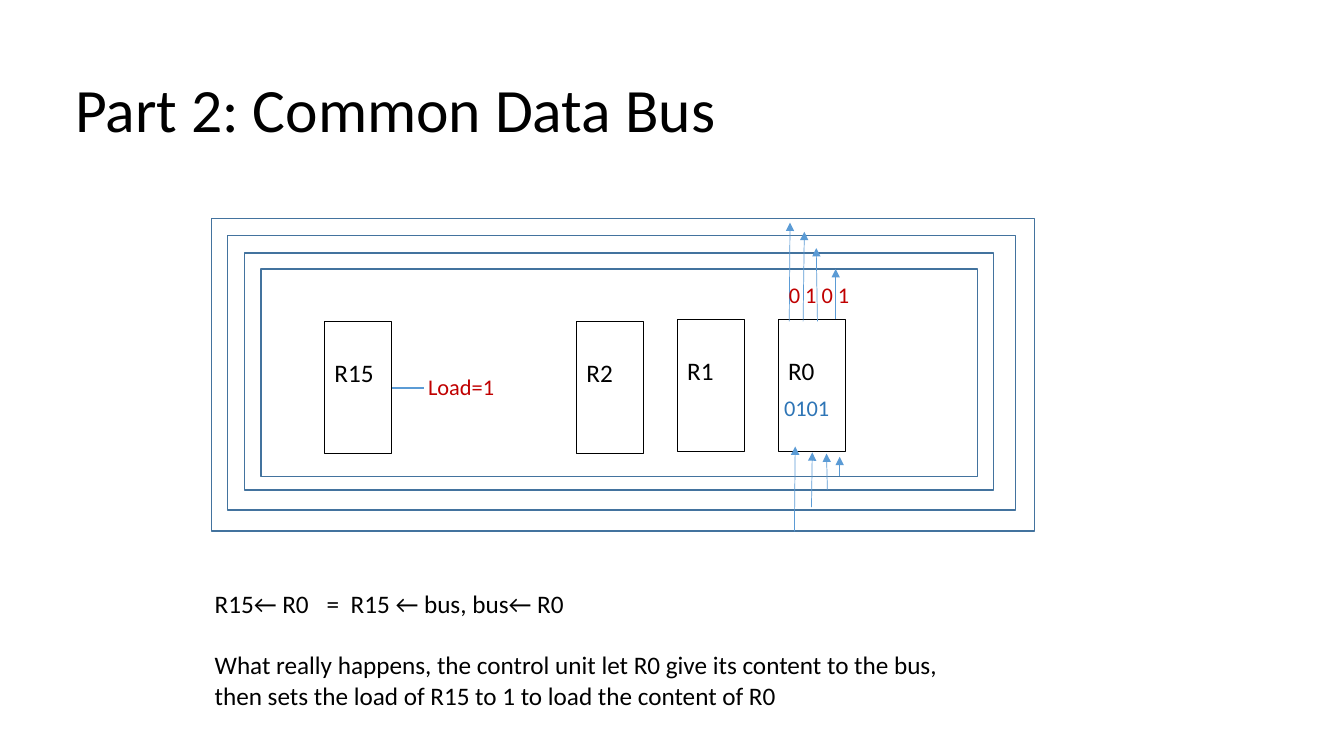
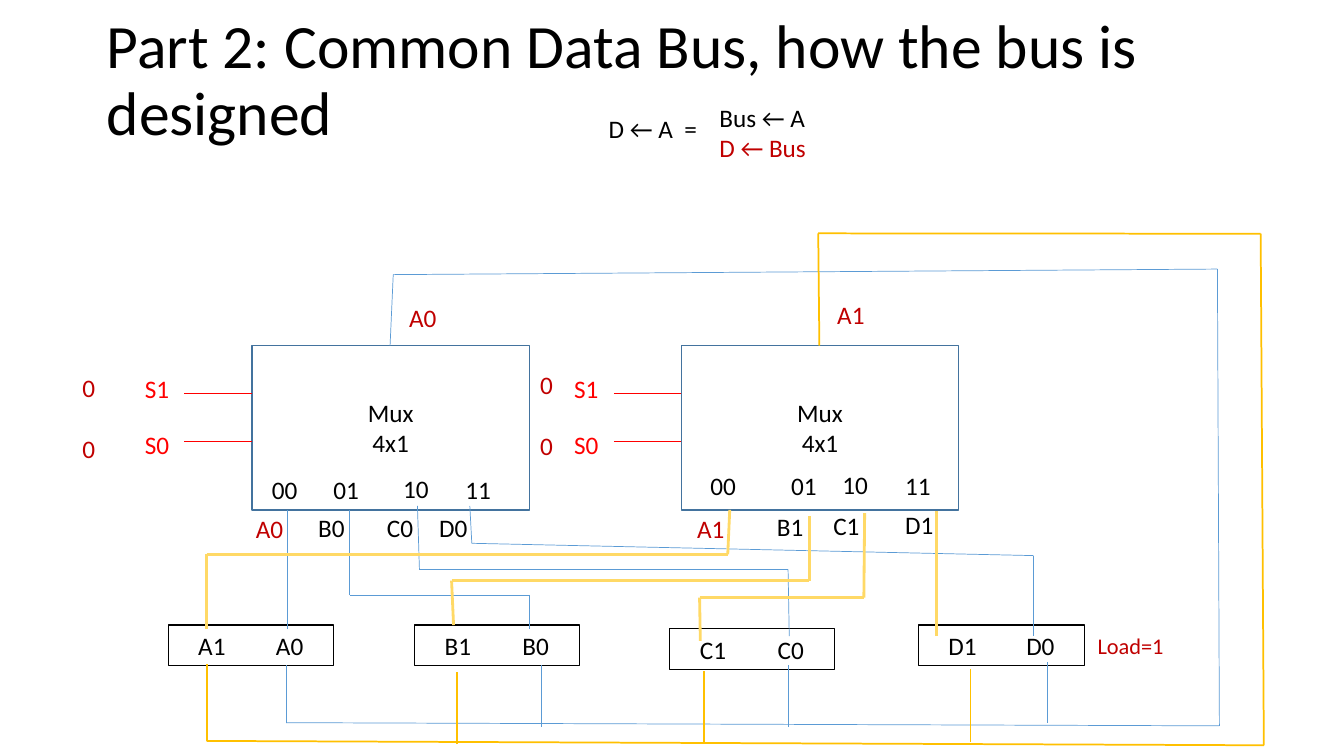
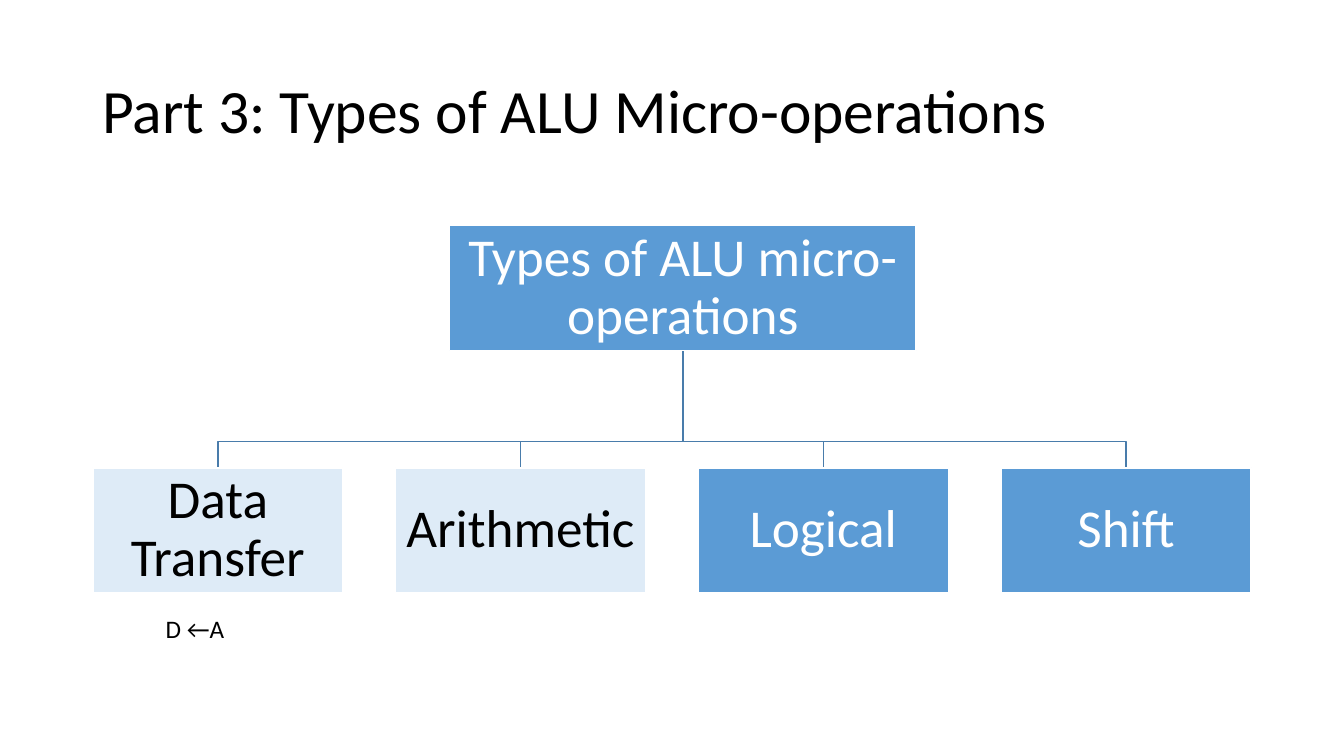
from itertools import pairwise

from lxml.etree import SubElement
from pptx import Presentation
from pptx.dml.color import RGBColor
from pptx.enum.shapes import MSO_CONNECTOR, MSO_SHAPE
from pptx.enum.text import MSO_ANCHOR, PP_ALIGN
from pptx.oxml.ns import qn
from pptx.util import Cm, Pt

FONT = "Calibri"
COLORS = {
    "text": "000000", "white": "FFFFFF", "blue": "5B9BD5", "outline": "43739E",
    "branch": "497CAB", "pale": "DEEBF7", "bits": "2E75B6", "signal": "C00000",
    "select": "FF0000", "gold": "FFC000", "light_gold": "FFD966",
}
BLANK_LINE = Pt(22)
LABEL_W, LABEL_H = 1.3, 1.02


def rgb(name):
    return RGBColor.from_string(COLORS[name])


def write(sp, lines, size=18, color="text", align=PP_ALIGN.LEFT,
          anchor=MSO_ANCHOR.TOP, gap=0, tabs=(), tab_align="l"):
    """Fill a shape with one paragraph per line; a line may be (text, color)."""
    tf = sp.text_frame
    tf.word_wrap = True
    tf.vertical_anchor = anchor
    for i, line in enumerate(lines):
        text, tint = line if isinstance(line, tuple) else (line, color)
        p = tf.add_paragraph() if i else tf.paragraphs[0]
        p.text = text
        p.alignment = align
        p.font.name, p.font.size = FONT, Pt(size)
        p.font.color.rgb = rgb(tint)
        if i:
            p.space_before = gap
        if tabs and "\t" in text:
            tab_list = p._p.get_or_add_pPr().find(qn("a:tabLst"))
            if tab_list is None:
                tab_list = SubElement(p._p.pPr, qn("a:tabLst"))
                p._p.pPr.insert(list(p._p.pPr).index(p._p.pPr.find(qn("a:defRPr"))), tab_list)
            for tab in tabs:
                SubElement(tab_list, qn("a:tab"), pos=str(Cm(tab)), algn=tab_align)
    return tf


def add_text(s, x, y, w, h, *lines, **style):
    sp = s.shapes.add_textbox(Cm(x), Cm(y), Cm(w), Cm(h))
    return write(sp, lines, **style)


def add_label(s, x, y, text, color="text"):
    add_text(s, x, y, LABEL_W, LABEL_H, text, color=color)


def add_note(s, x, y, w, text, color="signal"):
    add_text(s, x, y, w, 0.94, text, size=16, color=color)


def add_title(s, x, y, text):
    tf = add_text(s, x, y, 29.21, 3.68, text, size=44, anchor=MSO_ANCHOR.MIDDLE)
    tf.paragraphs[0].line_spacing = 0.9


def add_box(s, x, y, w, h, line="text", width=0.75, fill=None):
    sp = s.shapes.add_shape(MSO_SHAPE.RECTANGLE, Cm(x), Cm(y), Cm(w), Cm(h))
    sp.shadow.inherit = False
    if fill:
        sp.fill.solid()
        sp.fill.fore_color.rgb = rgb(fill)
    else:
        sp.fill.background()
    sp.line.color.rgb = rgb(line)
    sp.line.width = Pt(width)
    return sp


def add_wire(s, points, color="blue", width=0.5, arrow=False):
    """Join the points with straight connectors."""
    for (x1, y1), (x2, y2) in pairwise(points):
        wire = s.shapes.add_connector(MSO_CONNECTOR.STRAIGHT, Cm(x1), Cm(y1), Cm(x2), Cm(y2))
        wire.line.color.rgb = rgb(color)
        wire.line.width = Pt(width)
        if arrow:
            SubElement(wire.line._get_or_add_ln(), qn("a:tailEnd"), type="triangle")
        SubElement(wire._element.spPr, qn("a:effectLst"))


def add_branch(s, points):
    (x, y), *rest = [(Cm(px), Cm(py)) for px, py in points]
    builder = s.shapes.build_freeform(x, y)
    builder.add_line_segments(rest, close=False)
    sp = builder.convert_to_shape()
    sp.shadow.inherit = False
    sp.fill.background()
    sp.line.color.rgb = rgb("branch")
    sp.line.width = Pt(1)


def add_node(s, x, y, w, h, text, fill, color):
    sp = add_box(s, x, y, w, h, "white", 1, fill)
    tf = write(sp, [text], 38, color, PP_ALIGN.CENTER, MSO_ANCHOR.MIDDLE)
    tf.margin_left = tf.margin_right = tf.margin_top = tf.margin_bottom = Cm(0.08)
    tf.paragraphs[0].line_spacing = 0.9


def add_mux(s, x, codes, inputs):
    """Draw a multiplexer with its select lines, codes and input names."""
    y = 8.71
    write(add_box(s, x, y, 6.99, 4.14, "outline", 1), ["Mux", "4x1"],
          align=PP_ALIGN.CENTER, anchor=MSO_ANCHOR.MIDDLE)
    for name, label_y, wire_y in (("S1", 9.27, 9.91), ("S0", 10.69, 11.13)):
        add_label(s, x - 2.95, label_y, name, "select")
        add_wire(s, [(x - 1.7, wire_y), (x, wire_y)], "select")
    for text, (cx, cy) in zip(("00", "01", "10", "11"), codes):
        add_label(s, cx, cy, text)
    for text, ix, iy, color in inputs:
        add_label(s, ix, iy, text, color)


def build_bus(s):
    add_title(s, 1.65, 0.99, "Part 2: Common Data Bus")
    pitch, first = 2.54, 19.61
    for name, steps, y in (("R2", 2, 8.1), ("R1", 1, 8.05), ("R15", 4.5, 8.1), ("R0", 0, 8.05)):
        sp = add_box(s, first - steps * pitch, y, 1.7, 3.33)
        write(sp, [name]).margin_top = Cm(0.9)
    for ring in ((5.33, 5.51, 20.75, 7.87), (5.74, 5.94, 19.86, 6.91),
                 (6.17, 6.38, 18.87, 5.97), (6.58, 6.78, 18.06, 5.23)):
        add_box(s, *ring, "outline", 1)
    outgoing = [((21.06, 8.05), (21.06, 6.78)), ((20.6, 8.1), (20.57, 6.25)),
                ((20.24, 8.1), (20.27, 5.84)), ((19.89, 8.1), (19.91, 5.61))]
    incoming = [((21.16, 11.99), (21.16, 11.51)), ((20.85, 12.34), (20.83, 11.43)),
                ((20.45, 12.78), (20.47, 11.4)), ((20.02, 13.39), (20.04, 11.25))]
    for points in outgoing + incoming:
        add_wire(s, points, arrow=True)
    add_wire(s, [(9.88, 9.78), (10.69, 9.78)], width=1.5)
    add_note(s, 10.54, 9.27, 2.72, "Load=1")
    add_note(s, 19.51, 9.8, 2.72, "0101", "bits")
    add_note(s, 19.63, 6.96, 3.35, "0 1 0 1")
    add_text(s, 5.16, 14.71, 19.89, 4.2,
             "R15← R0\t=\tR15 ← bus, bus← R0",
             "What really happens, the control unit let R0 give its content to the bus, "
             "then sets the load of R15 to 1 to load the content of R0",
             gap=BLANK_LINE, tabs=(2.82, 3.43))


def build_bus_design(s):
    add_title(s, 2.44, 0.23, "Part 2: Common Data Bus, how the bus is designed")
    add_text(s, 15.09, 2.74, 6.6, LABEL_H, "D ← A\t=", tabs=(1.91,))
    add_text(s, 17.88, 2.46, 6.6, 1.8, "Bus ← A", ("D ← Bus", "signal"))

    add_mux(s, 6.35, [(6.6, 11.84), (8.15, 11.84), (9.91, 11.79), (11.48, 11.84)],
            [("A0", 6.2, 12.8, "signal"), ("B0", 7.77, 12.78, "text"),
             ("C0", 9.5, 12.78, "text"), ("D0", 10.82, 12.78, "text")])
    add_mux(s, 17.17, [(17.65, 11.73), (19.69, 11.73), (20.98, 11.71), (22.56, 11.73)],
            [("A1", 17.32, 12.8, "signal"), ("B1", 19.33, 12.75, "text"),
             ("C1", 20.75, 12.73, "text"), ("D1", 22.56, 12.7, "text")])
    for x, y in ((1.83, 9.25), (13.36, 9.19)):
        add_text(s, x, y, LABEL_W, 2.57, "0", "0", color="signal", gap=BLANK_LINE)
    add_label(s, 10.06, 7.49, "A0", "signal")
    add_label(s, 20.85, 7.42, "A1", "signal")

    for name, x, y in (("A", 4.24, 15.75), ("B", 10.44, 15.75),
                       ("C", 16.87, 15.85), ("D", 23.16, 15.75)):
        write(add_box(s, x, y, 4.17, LABEL_H), [f"\t{name}1\t{name}0"],
              tabs=(0.85, 2.81), tab_align="ctr")
    add_note(s, 27.41, 15.8, 2.72, "Load=1")

    low_bit_wires = [
        [(7.24, 15.85), (7.24, 12.85)],
        [(8.81, 12.85), (8.81, 14.99), (13.34, 14.99), (13.34, 15.85)],
        [(10.52, 12.75), (10.57, 14.35), (19.86, 14.35), (19.89, 16.03)],
        [(11.84, 12.75), (11.89, 13.69), (26.04, 14), (26.04, 16.03)],
        [(9.83, 8.71), (9.91, 6.92), (30.68, 6.78), (30.73, 18.29),
         (7.21, 18.21), (7.21, 16.76)],
        [(13.64, 18.31), (13.64, 16.76)],
        [(19.86, 18.31), (19.86, 16.76)],
        [(26.39, 18.21), (26.39, 16.69)],
    ]
    high_bit_inputs = [
        [(5.21, 15.85), (5.21, 13.97), (18.34, 13.97), (18.39, 12.85)],
        [(11.43, 15.75), (11.38, 14.63), (20.4, 14.63), (20.4, 13)],
        [(17.65, 16.15), (17.63, 15.06), (21.77, 15.06), (21.79, 12.93)],
        [(23.6, 16.03), (23.6, 12.88)],
    ]
    high_bit_bus = [
        [(20.65, 8.71), (20.62, 5.88), (31.77, 5.89), (31.85, 18.78),
         (5.21, 18.67), (5.21, 16.74)],
        [(24.46, 18.7), (24.46, 16.87)],
        [(17.75, 18.72), (17.75, 16.92)],
        [(11.51, 18.75), (11.51, 16.94)],
    ]
    for wires, color, width in ((low_bit_wires, "blue", 0.5),
                                (high_bit_inputs, "light_gold", 2),
                                (high_bit_bus, "gold", 1.25)):
        for points in wires:
            add_wire(s, points, color, width)


def build_alu_types(s):
    add_title(s, 2.33, 1.02, "Part 3: Types of ALU Micro-operations")
    node_w, node_h, pitch, left = 6.3, 3.15, 7.63, 2.34
    root_x, root_y, root_w = 11.33, 5.69, 11.76
    root_mid, bar_y, child_y = root_x + root_w / 2, 11.13, 11.79
    children = [("Data Transfer", "pale", "text"), ("Arithmetic", "pale", "text"),
                ("Logical", "blue", "white"), ("Shift", "blue", "white")]
    lefts = [left + i * pitch for i in range(len(children))]
    for x in lefts:
        mid = x + node_w / 2
        add_branch(s, [(root_mid, root_y + node_h), (root_mid, bar_y),
                       (mid, bar_y), (mid, child_y)])
    add_node(s, root_x, root_y, root_w, node_h, "Types of ALU micro-operations", "blue", "white")
    for x, child in zip(lefts, children):
        add_node(s, x, child_y, node_w, node_h, *child)
    add_text(s, 2.69, 15.32, 4.45, LABEL_H, "D ←A", align=PP_ALIGN.CENTER)


def main():
    prs = Presentation()
    prs.slide_width, prs.slide_height = Cm(33.87), Cm(19.05)
    for build in (build_bus, build_bus_design, build_alu_types):
        build(prs.slides.add_slide(prs.slide_layouts[6]))
    prs.save("out.pptx")


if __name__ == "__main__":
    main()
